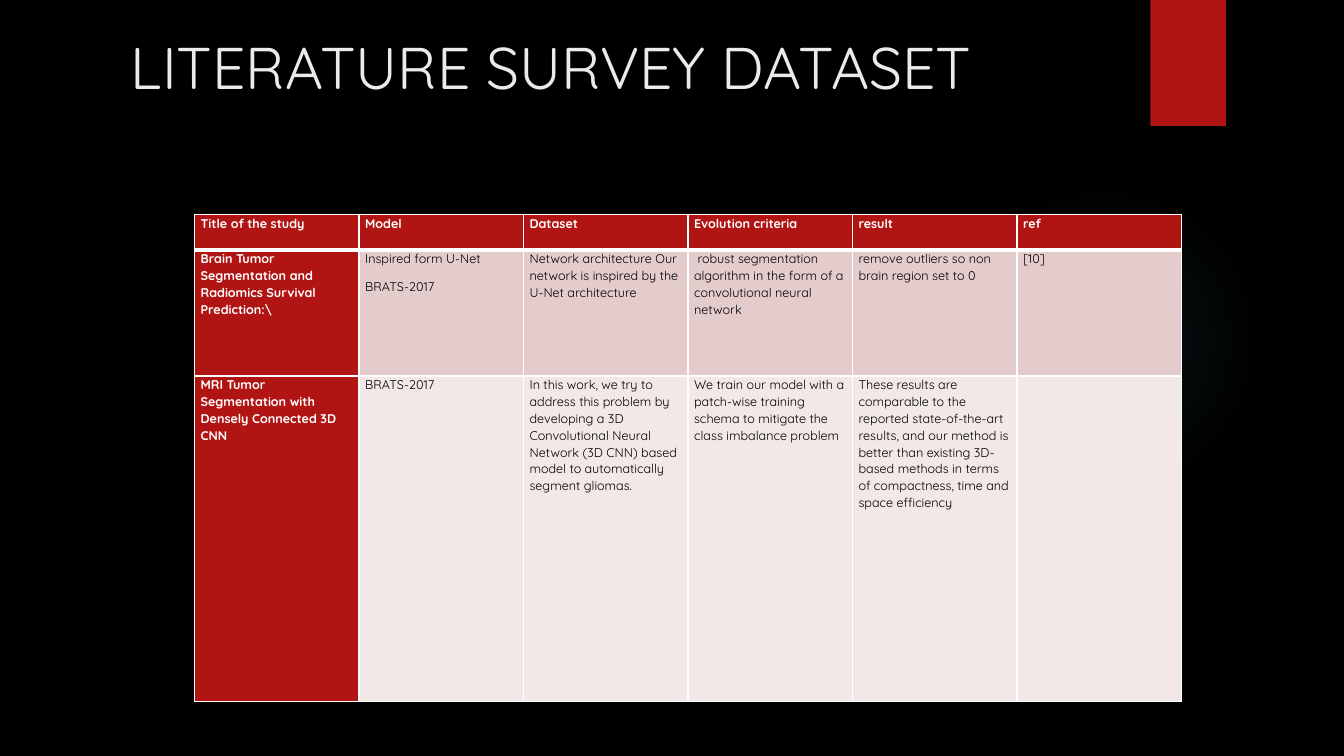
import pptx
import pptx.util
import pptx.dml.color
import pptx.enum.shapes
import pptx.oxml
import pptx.oxml.ns

NS = pptx.oxml.ns.nsdecls("a")
Inches, Pt = pptx.util.Inches, pptx.util.Pt


def paint(fill, color):
    fill.solid()
    fill.fore_color.rgb = pptx.dml.color.RGBColor.from_string(color)


def write(tf, text, size=9, color="000000", bold=False, spacing=1.07, after=8):
    tf.word_wrap = True
    tf.text = text
    for p in tf.paragraphs:
        p.line_spacing = spacing
        p.space_after = Pt(after)
        for r in p.runs:
            r.font.name = "Quicksand"
            r.font.size = Pt(size)
            r.font.bold = bold
            paint(r.font.fill, color)


prs = pptx.Presentation()
prs.slide_width, prs.slide_height = Inches(13.33), Inches(7.5)
s = prs.slides.add_slide(prs.slide_layouts[6])
paint(s.background.fill, "000000")

shapes = pptx.enum.shapes.MSO_SHAPE
glow = s.shapes.add_shape(shapes.OVAL, Inches(9.41), Inches(1.83), Inches(3.08), Inches(3.08))
glow.shadow.inherit = False
glow.line.fill.background()
stops = "".join(
    f'<a:gs pos="{pos}000"><a:srgbClr val="50B9C1"><a:alpha val="{alpha}000"/></a:srgbClr></a:gs>'
    for pos, alpha in [(0, 7), (36, 6), (69, 0)]
)
glow.fill.background()
no_fill = glow.element.spPr.find(pptx.oxml.ns.qn("a:noFill"))
no_fill.addprevious(pptx.oxml.parse_xml(
    f'<a:gradFill {NS}><a:gsLst>{stops}</a:gsLst><a:path path="circle">'
    '<a:fillToRect l="50000" t="50000" r="50000" b="50000"/></a:path></a:gradFill>'
))
glow.element.spPr.remove(no_fill)

tab = s.shapes.add_shape(shapes.RECTANGLE, Inches(11.41), 0, Inches(0.75), Inches(1.25))
tab.shadow.inherit = False
tab.line.fill.background()
paint(tab.fill, "B01513")

title = s.shapes.add_textbox(Inches(1.2), Inches(0.26), Inches(11), Inches(1.59))
write(title.text_frame, "LITERATURE SURVEY DATASET", size=42, color="EBEBEB", spacing=1.0, after=0)

rows = [
    ["Title of the study", "Model", "Dataset", "Evolution criteria", "result", "ref"],
    [
        "Brain Tumor Segmentation and Radiomics Survival Prediction:\\",
        "Inspired form U-Net\nBRATS-2017",
        "Network architecture Our network is inspired by the U-Net architecture",
        " robust segmentation algorithm in the form of a convolutional neural network",
        "remove outliers so non brain region set to 0",
        "[10]",
    ],
    [
        "MRI Tumor Segmentation with Densely Connected 3D CNN",
        "BRATS-2017",
        "In this work, we try to address this problem by developing a 3D Convolutional Neural "
        "Network (3D CNN) based model to automatically segment gliomas.",
        "We train our model with a patch-wise training schema to mitigate the class imbalance problem",
        "These results are comparable to the reported state-of-the-art results, and our method is "
        "better than existing 3D-based methods in terms of compactness, time and space efficiency",
        "",
    ],
]
heights = [0.35, 1.25, 3.23]
bands = ["B01513", "E4CCCC", "F2E8E7"]

table = s.shapes.add_table(
    len(rows), len(rows[0]), Inches(1.93), Inches(2.13), Inches(9.79), Inches(sum(heights))
).table
for i, row in enumerate(rows):
    table.rows[i].height = Inches(heights[i])
    for j, text in enumerate(row):
        cell = table.cell(i, j)
        cell.margin_left = cell.margin_right = Inches(0.06)
        cell.margin_top = cell.margin_bottom = 0
        heading = i == 0 or j == 0
        write(cell.text_frame, text, color="FFFFFF" if heading else "000000", bold=heading)
        for side in "LRTB":
            thick = (i, side) in [(0, "B"), (1, "T")]
            cell._tc.get_or_add_tcPr().append(pptx.oxml.parse_xml(
                f'<a:ln{side} {NS} w="{Pt(3 if thick else 1)}">'
                f'<a:solidFill><a:srgbClr val="FFFFFF"/></a:solidFill></a:ln{side}>'
            ))
        paint(cell.fill, bands[0] if heading else bands[i])

prs.save("out.pptx")
